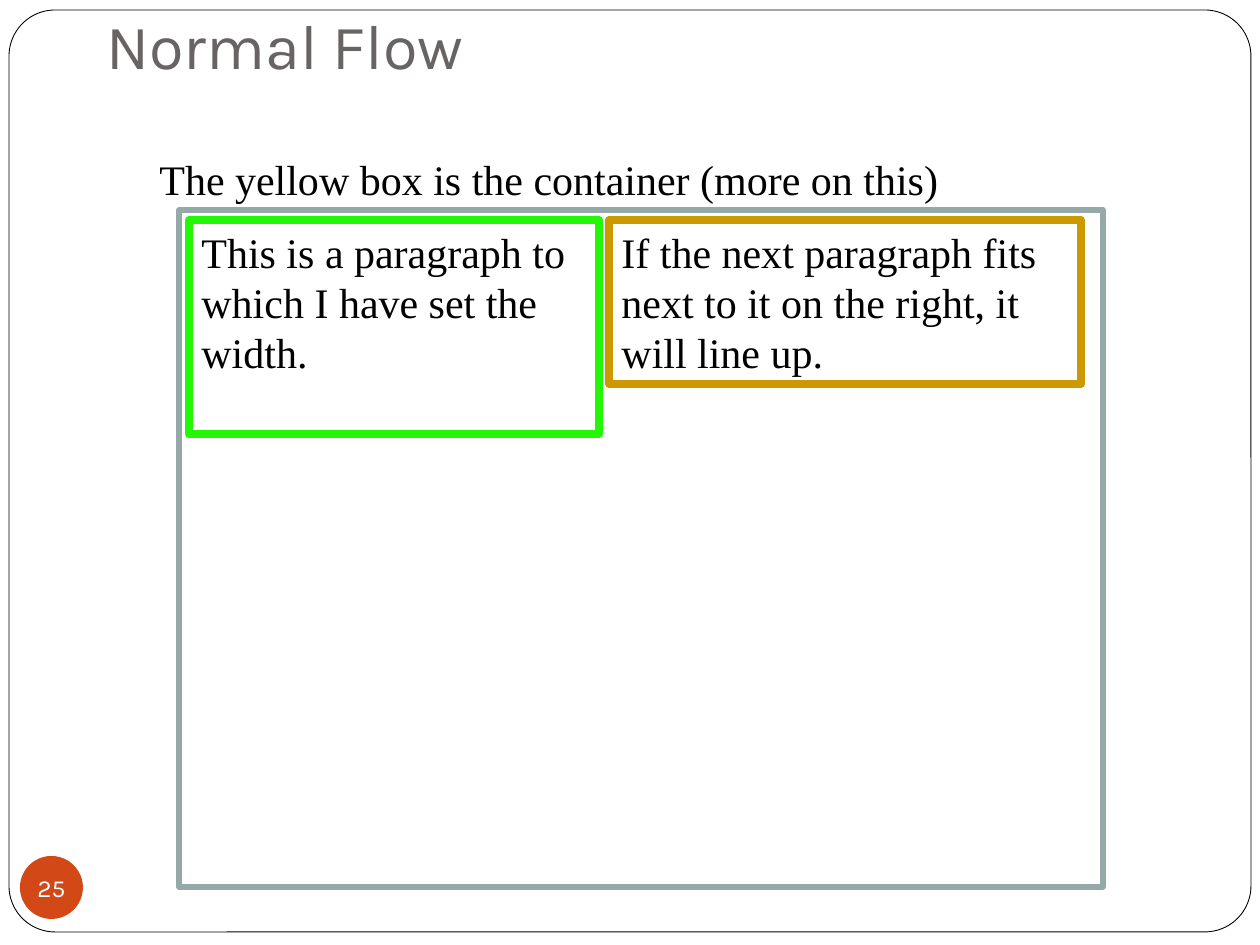
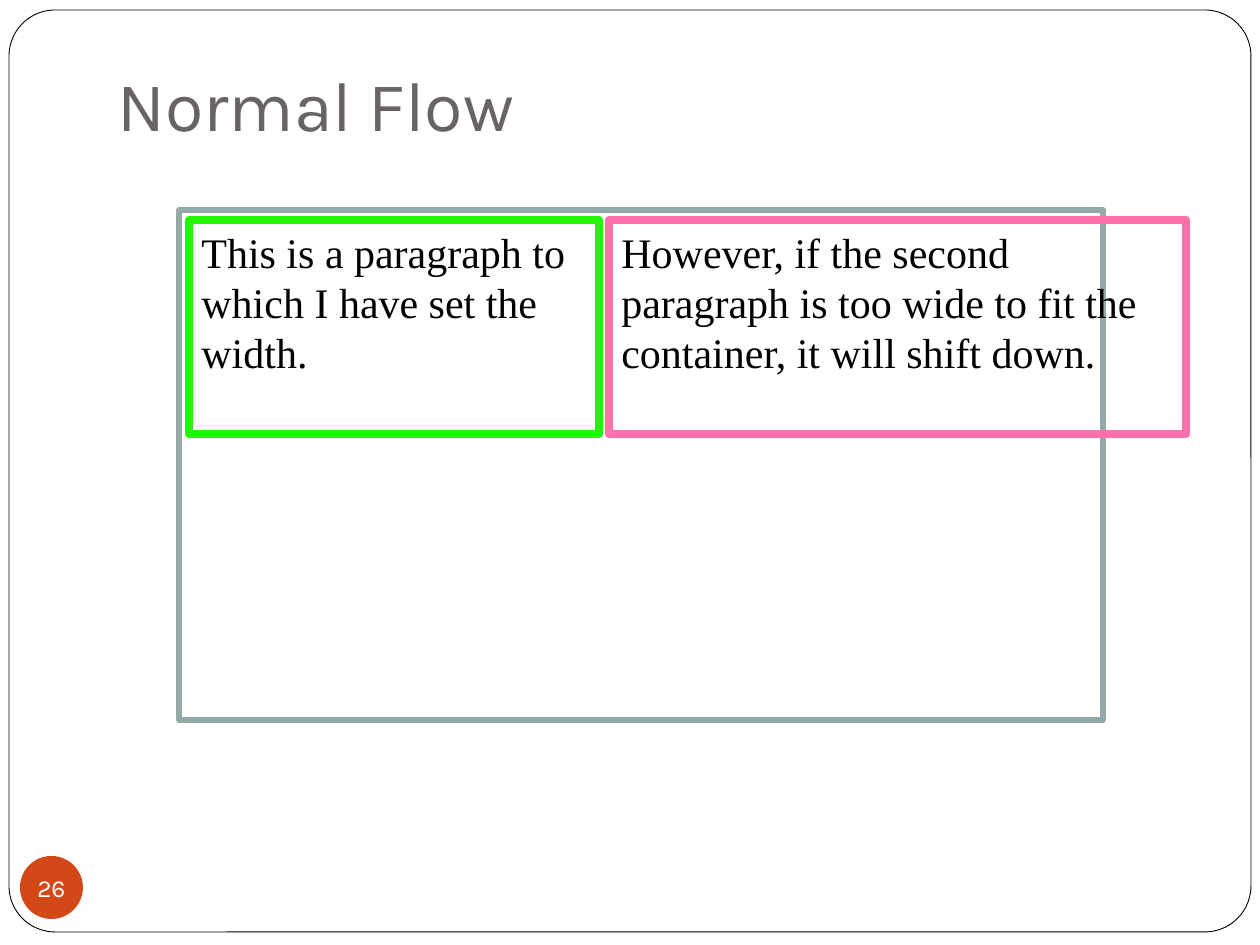
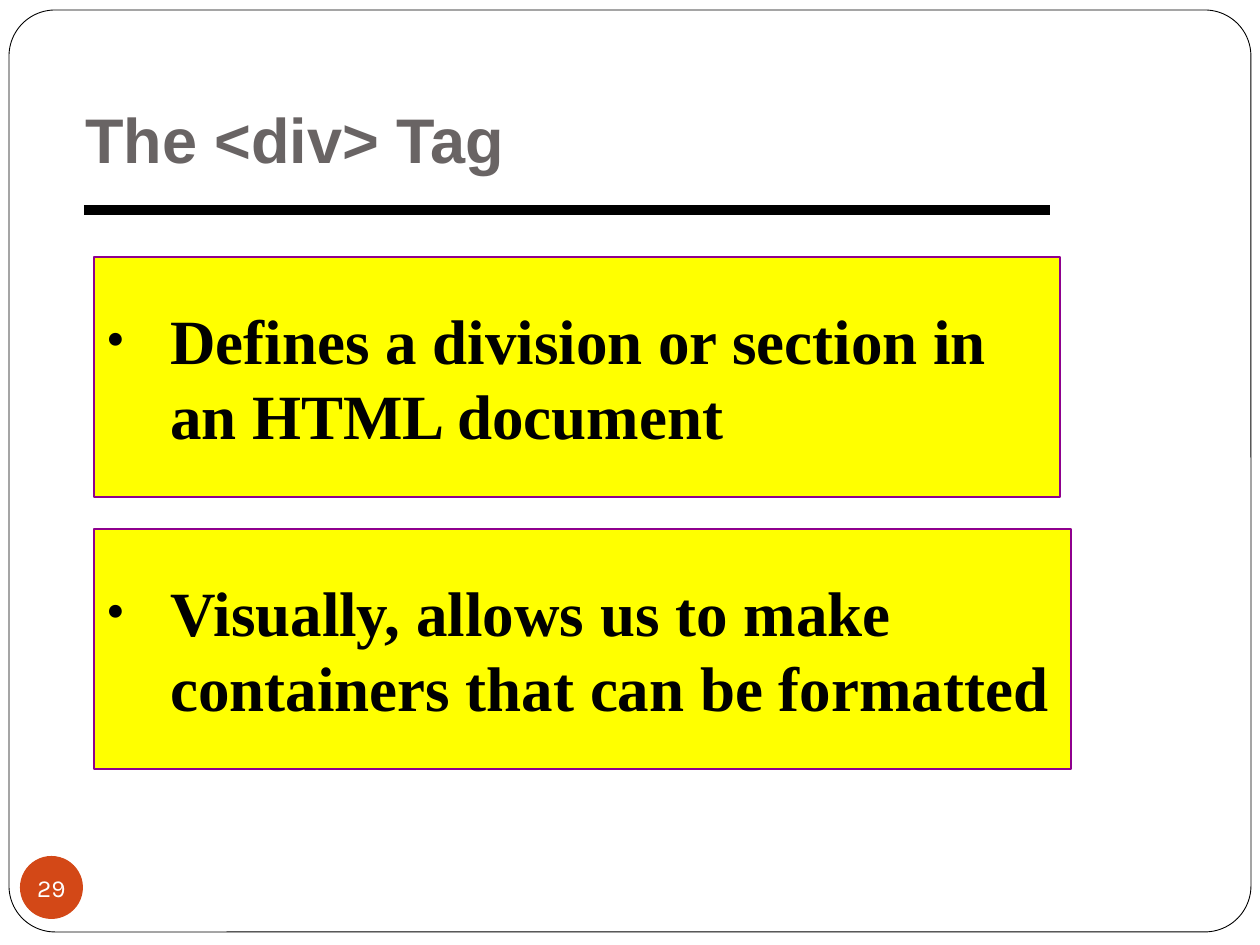
from lxml import etree
from pptx import Presentation
from pptx import util as u
from pptx.dml.color import RGBColor
from pptx.enum import shapes, text
from pptx.oxml.ns import qn

EMU_PER_PX = 914400 / 126
SERIF, SANS, BRAND = "Times New Roman", "Arial", "Karla"
INK, PAPER, TITLE_GREY = "000000", "FFFFFF", "696464"
CONTAINER_GREY, GREEN, GOLD, PINK = "96A9A9", "24F608", "CC9900", "FF71AA"
BADGE_ORANGE, NOTE_YELLOW, NOTE_PURPLE = "D34817", "FFFF00", "8E008E"
PARAGRAPH_LEFT, PARAGRAPH_TOP, NEXT_LEFT = 189, 220, 609
NOTE_LEFT, NOTE_HEIGHT, BULLET_INDENT = 94, 240, 64


def px(length):
    """Turn pixels into EMU."""
    return u.Emu(round(length * EMU_PER_PX))


def color(value):
    """Turn a hex string into a colour."""
    return RGBColor.from_string(value)


def assign(target, values):
    """Set each attribute named in a dict."""
    for name, value in values.items():
        setattr(target, name, value)


def draw(slide, preset, place, fill=None, line=None, width=0):
    """Add a preset shape with plain fill and outline."""
    shape = slide.shapes.add_shape(preset, *map(px, place))
    shape.shadow.inherit = False
    if fill:
        shape.fill.solid()
        shape.fill.fore_color.rgb = color(fill)
    else:
        shape.fill.background()
    if line:
        shape.line.color.rgb = color(line)
        shape.line.width = u.Pt(width)
    else:
        shape.line.fill.background()
    return shape


def write(shape, words, font, size, ink=INK, bold=False,
          align=text.PP_ALIGN.LEFT, **frame_format):
    """Put one formatted paragraph into a shape."""
    frame = shape.text_frame
    assign(frame, {"word_wrap": True, "vertical_anchor": text.MSO_ANCHOR.TOP, **frame_format})
    paragraph = frame.paragraphs[0]
    paragraph.alignment = align
    run = paragraph.add_run()
    run.text = words
    assign(run.font, {"name": font, "size": u.Pt(size), "bold": bold})
    run.font.color.rgb = color(ink)
    return paragraph


def add_title(slide, words, place, size, font=BRAND, bold=False):
    """Add the grey title, resting on the bottom of its area."""
    box = slide.shapes.add_textbox(*map(px, place))
    write(box, words, font, size, TITLE_GREY, bold,
          vertical_anchor=text.MSO_ANCHOR.BOTTOM, margin_bottom=u.Inches(0.1))


def add_body(shape, words):
    """Write body text in a box that grows with it."""
    paragraph = write(shape, words, SERIF, 24, auto_size=text.MSO_AUTO_SIZE.SHAPE_TO_FIT_TEXT)
    paragraph.space_before = u.Pt(15)


def add_paragraph_box(slide, words, left, width, height, outline):
    """Add an outlined paragraph on the container's top row."""
    box = draw(slide, shapes.MSO_SHAPE.RECTANGLE,
               (left, PARAGRAPH_TOP, width, height), line=outline, width=4.5)
    add_body(box, words)


def add_container(slide, height):
    """Add the container with the fixed-width paragraph in it."""
    draw(slide, shapes.MSO_SHAPE.RECTANGLE, (179, 210, 924, height),
         line=CONTAINER_GREY, width=3)
    add_paragraph_box(slide, "This is a paragraph to which I have set the width.",
                      PARAGRAPH_LEFT, 410, 214, GREEN)


def add_note(slide, words, top, width):
    """Add a yellow box with one bulleted statement."""
    note = draw(slide, shapes.MSO_SHAPE.RECTANGLE, (NOTE_LEFT, top, width, NOTE_HEIGHT),
                NOTE_YELLOW, NOTE_PURPLE, 0.75)
    paragraph = write(note, words, SERIF, 36, bold=True,
                      vertical_anchor=text.MSO_ANCHOR.MIDDLE,
                      auto_size=text.MSO_AUTO_SIZE.SHAPE_TO_FIT_TEXT)
    properties = paragraph._p.get_or_add_pPr()
    properties.set("marL", str(px(BULLET_INDENT)))
    properties.set("indent", str(-px(BULLET_INDENT)))
    bullet_color = etree.SubElement(properties, qn("a:buClr"))
    etree.SubElement(bullet_color, qn("a:srgbClr"), val=INK)
    etree.SubElement(properties, qn("a:buSzPct"), val="85000")
    etree.SubElement(properties, qn("a:buFont"), typeface=SERIF)
    etree.SubElement(properties, qn("a:buChar"), char="•")


def add_rule(slide, left, right, y):
    """Add the thick black rule under a title."""
    rule = slide.shapes.add_connector(shapes.MSO_CONNECTOR.STRAIGHT,
                                      px(left), px(y), px(right), px(y))
    rule.line.color.rgb = color(INK)
    rule.line.width = u.Pt(6)
    etree.SubElement(rule._element.spPr, qn("a:effectLst"))


def add_slide(deck):
    """Add a blank slide with the rounded page border."""
    slide = deck.slides.add_slide(deck.slide_layouts[6])
    border = draw(slide, shapes.MSO_SHAPE.ROUNDED_RECTANGLE, (9, 10, 1242, 922),
                  PAPER, INK, 0.5)
    border.adjustments[0] = 0.05
    return slide


def add_badge(slide, number):
    """Add the round page number."""
    badge = draw(slide, shapes.MSO_SHAPE.OVAL, (20, 856, 63, 63), BADGE_ORANGE)
    margins = dict.fromkeys(("margin_left", "margin_top", "margin_right", "margin_bottom"), 0)
    write(badge, str(number), BRAND, 14, PAPER, align=text.PP_ALIGN.CENTER,
          word_wrap=False, vertical_anchor=text.MSO_ANCHOR.MIDDLE, **margins)


def build_fitting_flow(deck):
    """Show two paragraphs that fit side by side."""
    slide = add_slide(deck)
    add_title(slide, "Normal Flow", (94, 32, 1071, 63), 36)
    add_container(slide, 677)
    add_paragraph_box(slide,
                      "If the next paragraph fits next to it on the right, it will line up.",
                      NEXT_LEFT, 472, 164, GOLD)
    caption = slide.shapes.add_textbox(*map(px, (147, 147, 966, 63)))
    add_body(caption, "The yellow box is the container (more on this)")
    add_badge(slide, 25)


def build_overflowing_flow(deck):
    """Show a second paragraph too wide for the container."""
    slide = add_slide(deck)
    add_title(slide, "Normal Flow", (105, 0, 1071, 158), 40)
    add_container(slide, 510)
    add_paragraph_box(slide,
                      "However, if the second paragraph is too wide to fit the container, "
                      "it will shift down.", NEXT_LEFT, 577, 214, PINK)
    add_badge(slide, 26)


def build_div_tag(deck):
    """Explain the div tag in two notes."""
    slide = add_slide(deck)
    add_title(slide, "The <div> Tag", (73, 94, 1050, 95), 36, SANS, True)
    add_rule(slide, 84, 1050, 210)
    add_note(slide, "Defines a division or section in an HTML document", 257, 966)
    add_note(slide, "Visually, allows us to make containers that can be formatted", 529, 977)
    add_badge(slide, 29)


def main():
    """Build the deck."""
    deck = Presentation()
    assign(deck, {"slide_width": px(1260), "slide_height": px(945)})
    build_fitting_flow(deck)
    build_overflowing_flow(deck)
    build_div_tag(deck)
    deck.save("out.pptx")


if __name__ == "__main__":
    main()
